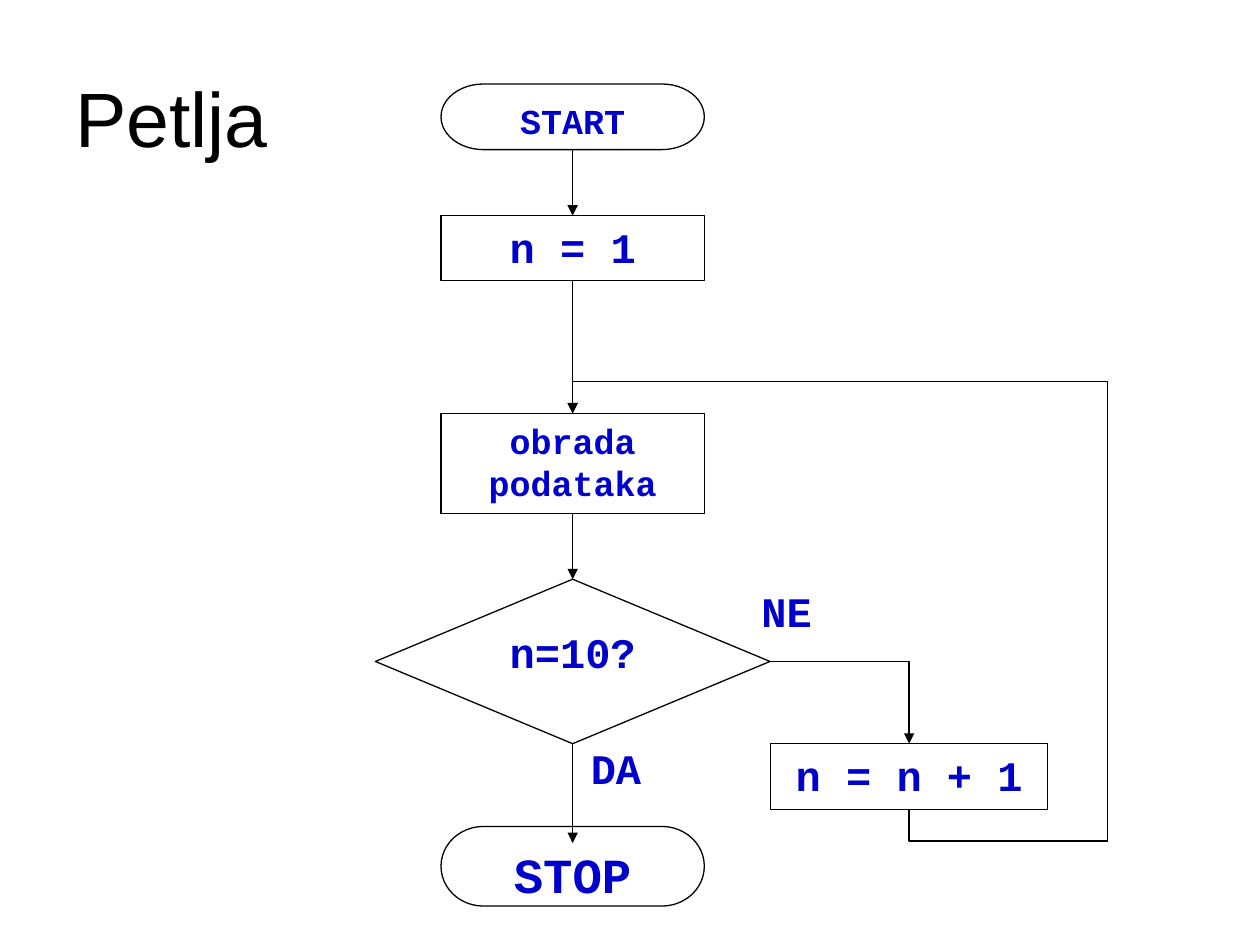
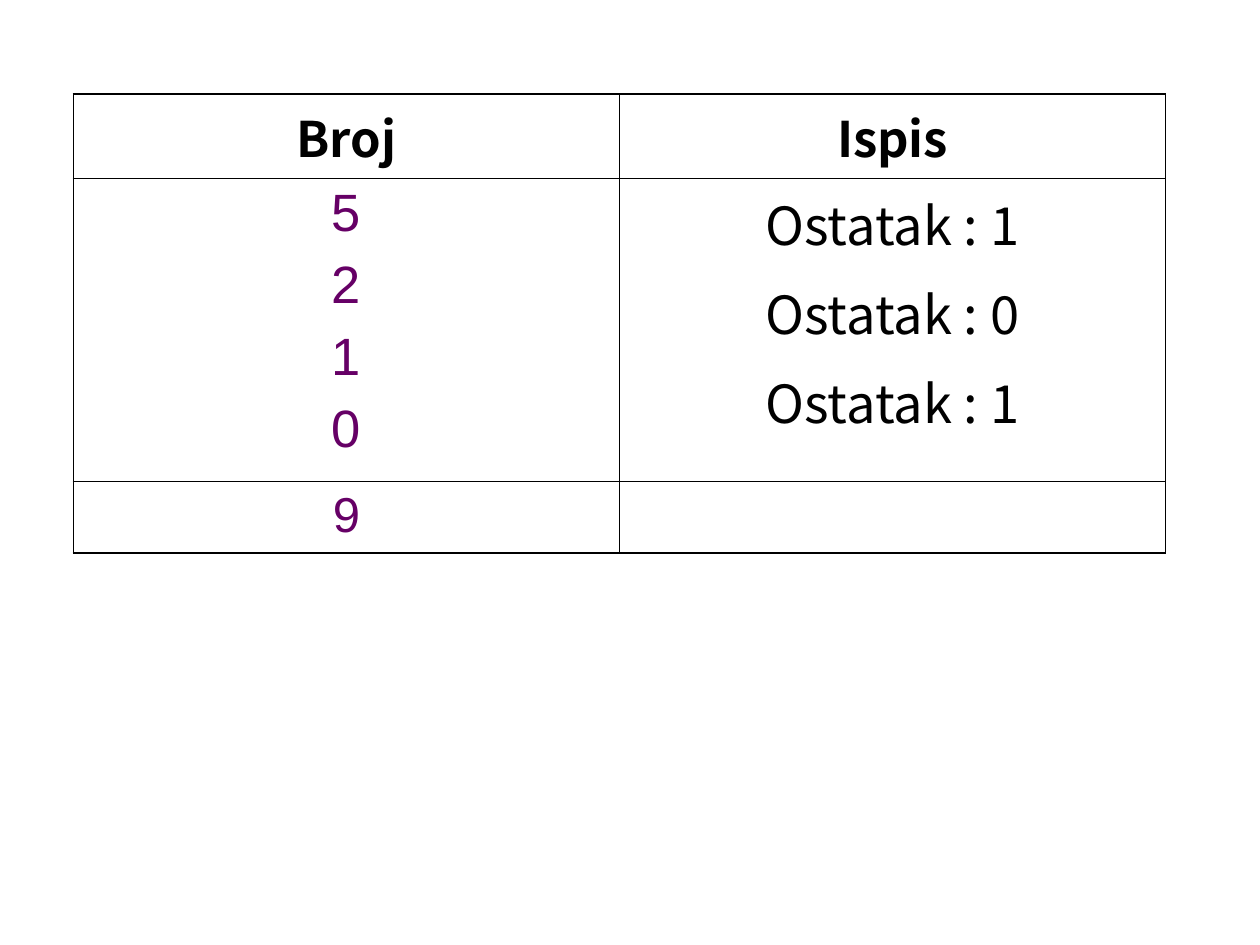
from dataclasses import dataclass

from lxml import etree
from pptx import Presentation
from pptx.dml.color import RGBColor
from pptx.enum import shapes, text
from pptx.oxml import ns
from pptx.util import Pt


@dataclass(frozen=True)
class Theme:
    black: RGBColor = RGBColor(0x00, 0x00, 0x00)
    white: RGBColor = RGBColor(0xFF, 0xFF, 0xFF)
    blue: RGBColor = RGBColor(0x00, 0x00, 0xCC)
    purple: RGBColor = RGBColor(0x66, 0x00, 0x66)
    sans: str = "Arial"
    code: str = "Courier New"
    table: str = "Noto Sans CJK KR"
    title_size: float = 44
    small_size: float = 20
    step_size: float = 24
    large_size: float = 28
    list_size: float = 30
    line: float = 0.75
    outer_border: float = 1.08
    inner_border: float = 0.45


THEME = Theme()
TOP, RIGHT, BOTTOM = 0, 3, 2
PRESET = shapes.MSO_SHAPE
ALIGN = text.PP_ALIGN


# Text
def write(frame, lines, font, size, color, bold=False, align=ALIGN.CENTER, gap=0):
    frame.word_wrap = True
    for index, line in enumerate(lines):
        paragraph = frame.paragraphs[0] if index == 0 else frame.add_paragraph()
        paragraph.alignment = align
        if index:
            paragraph.space_before = Pt(gap)
        run = paragraph.add_run()
        run.text = line
        run.font.name = font
        run.font.size = Pt(size)
        run.font.bold = bold
        run.font.color.rgb = color


def add_text(slide, left, top, width, height):
    box = slide.shapes.add_textbox(Pt(left), Pt(top), Pt(width), Pt(height))
    return box.text_frame


def add_title(slide, title):
    frame = add_text(slide, 36, 21.6, 648, 90)
    write(frame, [title], THEME.sans, THEME.title_size, THEME.black, align=ALIGN.LEFT)
    frame.vertical_anchor = text.MSO_ANCHOR.MIDDLE


def add_branch_label(slide, label, left, top):
    frame = add_text(slide, left, top, 56, 37.5)
    write(frame, [label], THEME.code, THEME.step_size, THEME.blue, bold=True)
    return frame


# Flowchart
def add_step(slide, preset, label, center, top, width, height, size=THEME.step_size):
    shape = slide.shapes.add_shape(
        preset, Pt(center - width / 2), Pt(top), Pt(width), Pt(height))
    shape.shadow.inherit = False
    shape.fill.solid()
    shape.fill.fore_color.rgb = THEME.white
    shape.line.color.rgb = THEME.black
    shape.line.width = Pt(THEME.line)
    write(shape.text_frame, [label], THEME.code, size, THEME.blue, bold=True)
    shape.text_frame.vertical_anchor = text.MSO_ANCHOR.TOP
    return shape


def add_arrow(slide, start, end=None, start_site=BOTTOM, end_point=(0, 0),
              kind=shapes.MSO_CONNECTOR.STRAIGHT):
    x, y = end_point
    arrow = slide.shapes.add_connector(kind, 0, 0, Pt(x), Pt(y))
    arrow.begin_connect(start, start_site)
    if end is not None:
        arrow.end_connect(end, TOP)
    arrow.line.color.rgb = THEME.black
    arrow.line.width = Pt(THEME.line)
    head = etree.SubElement(arrow.line._get_or_add_ln(), ns.qn("a:tailEnd"))
    head.set("type", "triangle")
    etree.SubElement(arrow._element.spPr, ns.qn("a:effectLst"))
    return arrow


def add_elbow(slide, start, end, start_site, preset):
    arrow = add_arrow(slide, start, end, start_site, kind=shapes.MSO_CONNECTOR.ELBOW)
    arrow._element.spPr.find(ns.qn("a:prstGeom")).set("prst", preset)
    return arrow


def add_loop_back(slide, start, end, stub, lane):
    """Leave the bottom of start, run up the lane and enter the top of end."""
    arrow = add_elbow(slide, start, end, BOTTOM, "bentConnector5")
    across = arrow.begin_x - arrow.end_x
    rise = arrow.begin_y - arrow.end_y
    middle_x = (arrow.begin_x + arrow.end_x) // 2
    middle_y = (arrow.begin_y + arrow.end_y) // 2
    bends = (-Pt(stub) / rise, (arrow.begin_x - Pt(lane)) / across, 1 + Pt(stub) / rise)

    # The frame is turned so that the first segment points down
    arrow.left, arrow.top = middle_x - rise // 2, middle_y - across // 2
    arrow.width, arrow.height = rise, across
    properties = arrow._element.spPr
    frame = properties.find(ns.qn("a:xfrm"))
    frame.attrib.pop("flipH", None)
    frame.set("rot", str(270 * 60000))
    frame.set("flipV", "1")
    adjustments = properties.find(".//" + ns.qn("a:avLst"))
    for number, bend in enumerate(bends, 1):
        guide = etree.SubElement(adjustments, ns.qn("a:gd"))
        guide.set("name", f"adj{number}")
        guide.set("fmla", f"val {round(bend * 100000)}")


def build_loop_slide(slide):
    add_title(slide, "Petlja")
    center, width = 327.25, 150.5

    # Steps
    start = add_step(slide, PRESET.FLOWCHART_TERMINATOR, "START", center, 48, width,
                     37.5, THEME.small_size)
    first = add_step(slide, PRESET.FLOWCHART_PROCESS, "n = 1", center, 123.25, width, 37)
    work = add_step(slide, PRESET.FLOWCHART_PROCESS, "obrada podataka", center, 236.25,
                    width, 57, THEME.small_size)
    test = add_step(slide, PRESET.FLOWCHART_DECISION, "n=10?", center, 331, 225.5, 94)
    stop = add_step(slide, PRESET.FLOWCHART_TERMINATOR, "STOP", center, 472.25, width,
                    45.5, THEME.large_size)
    increment = add_step(slide, PRESET.FLOWCHART_PROCESS, "n = n + 1", 519.5, 425,
                         158.5, 37.5)

    # Branch labels
    add_branch_label(slide, "NE", 421.5, 331)
    yes = add_branch_label(slide, "DA", 324, 424)
    yes.paragraphs[0].line_spacing = 0.9

    # Arrows
    for upper, lower in ((start, first), (first, work), (work, test)):
        add_arrow(slide, upper, lower)
    add_arrow(slide, test, end_point=(center, stop.top.pt + 9.5))
    add_elbow(slide, test, increment, RIGHT, "bentConnector2")
    add_loop_back(slide, increment, work, stub=18, lane=633)


# Table
def set_borders(cell, widths):
    properties = cell._tc.get_or_add_tcPr()
    for side, width in zip("LRTB", widths):
        border = etree.SubElement(properties, ns.qn(f"a:ln{side}"))
        border.set("w", str(Pt(width)))
        fill = etree.SubElement(border, ns.qn("a:solidFill"))
        etree.SubElement(fill, ns.qn("a:srgbClr")).set("val", str(THEME.black))


def add_grid(slide, left, top, column_width, row_heights, rows):
    columns = len(rows[0])
    table = slide.shapes.add_table(
        len(rows), columns, Pt(left), Pt(top),
        Pt(column_width * columns), Pt(sum(row_heights))).table
    table.first_row = table.horz_banding = False
    for column in table.columns:
        column.width = Pt(column_width)
    for r, (row, height) in enumerate(zip(rows, row_heights)):
        table.rows[r].height = Pt(height)
        for c, (lines, style) in enumerate(row):
            cell = table.cell(r, c)
            edges = (c == 0, c == columns - 1, r == 0, r == len(rows) - 1)
            set_borders(cell, [THEME.outer_border if edge else THEME.inner_border
                               for edge in edges])
            cell.fill.background()
            write(cell.text_frame, lines, *style, gap=7.5)


def build_output_slide(slide):
    header = (THEME.table, THEME.large_size, THEME.black, True)
    number = (THEME.sans, THEME.list_size, THEME.purple)
    result = (THEME.table, THEME.list_size, THEME.black)
    last = (THEME.sans, THEME.large_size, THEME.purple)
    rows = [
        [(["Broj"], header), (["Ispis"], header)],
        [(["5", "2", "1", "0"], number),
         ([f"Ostatak : {rest}" for rest in (1, 0, 1)], result)],
        [(["9"], last), ([], last)],
    ]
    add_grid(slide, 42, 53.75, 312, (48, 173.5, 40.75), rows)


def main():
    presentation = Presentation()
    presentation.slide_width, presentation.slide_height = Pt(720), Pt(540)
    blank = presentation.slide_layouts[6]
    for build in (build_loop_slide, build_output_slide):
        build(presentation.slides.add_slide(blank))
    presentation.save("out.pptx")


if __name__ == "__main__":
    main()
